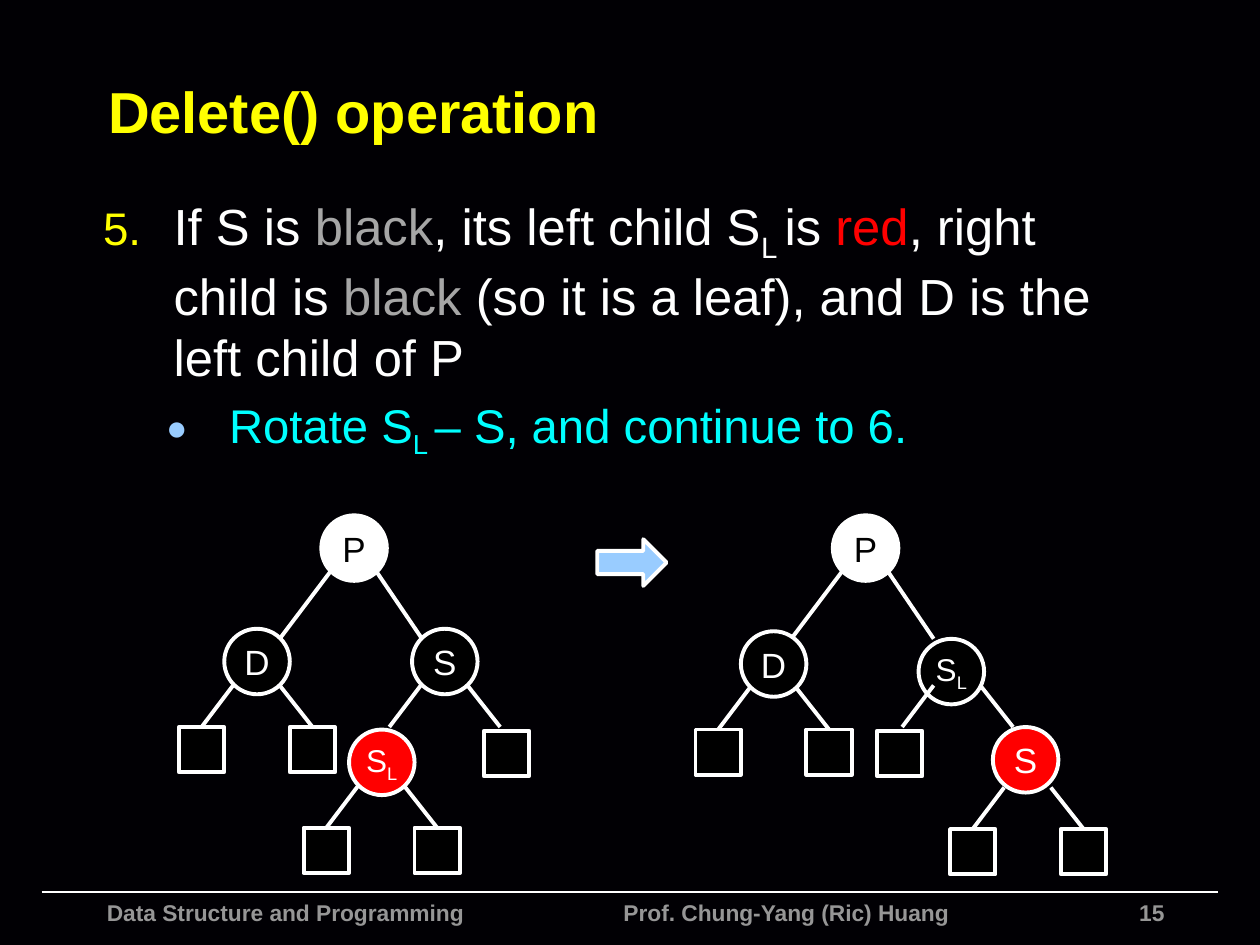
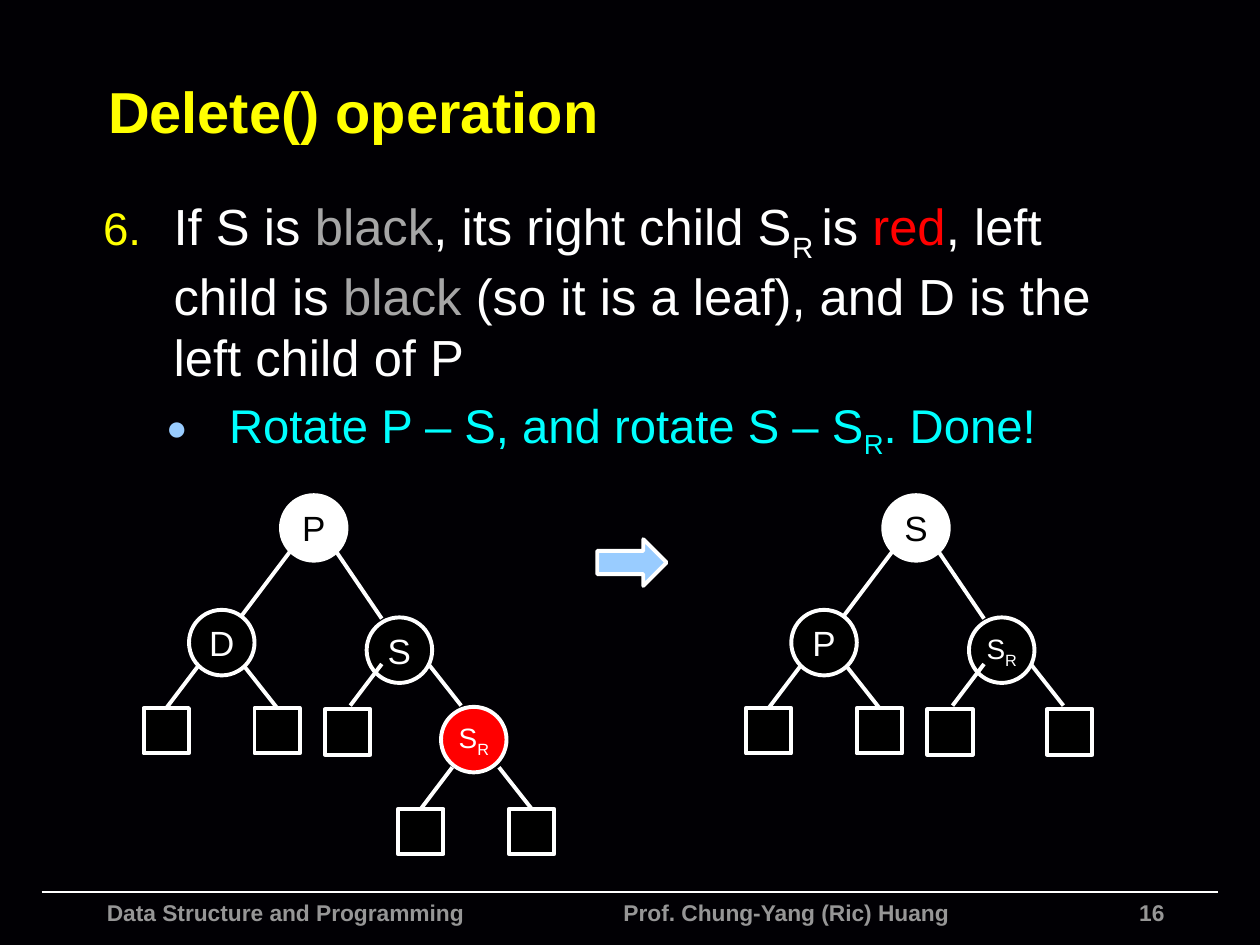
"""Builds two slides on the red-black tree delete cases."""
from lxml.etree import SubElement
from pptx import Presentation
from pptx.dml.color import RGBColor
from pptx.enum.shapes import MSO_CONNECTOR, MSO_SHAPE
from pptx.enum.text import MSO_ANCHOR, PP_ALIGN
from pptx.oxml.ns import qn
from pptx.util import Inches, Pt

THEME = {
    "font": "Arial",
    "tone": {"back": "010004", "text": "FFFFFF", "head": "FFFF00", "foot": "969696",
             "dim": "A6A6A6", "red": "FF0000", "sub": "00FFFF", "dot": "99CCFF",
             "black": "000000"},
    "size": {"head": 33, "main": 29, "sub": 27, "foot": 13, "node": 20},
    "line": {"thin": 1, "edge": 2.25},
}
TONE, SIZE, LINE = THEME["tone"], THEME["size"], THEME["line"]

HEAD = "Delete() operation"
FOOT = "Data Structure and Programming\tProf. Chung-Yang (Ric) Huang"
TAIL = [("black ", "dim"), ("(so it is a leaf), and D is the left child of P", "text")]

# %s
PAGES = [
    {"page": 15, "step": 5,
     "main": [("If S is ", "text"), ("black", "dim"), (", its left child S", "text"),
              ("L ", "text", True), ("is ", "text"), ("red", "red"),
              (", right child is ", "text")] + TAIL,
     "sub": [("Rotate S", "sub"), ("L ", "sub", True),
             ("– S, and continue to 6.", "sub")],
     "nodes": [
         {"name": "P", "look": "root", "at": (2.55, 4.09)},
         {"name": "D", "look": "black", "at": (1.78, 4.99), "leaf": "LR"},
         {"name": "S", "look": "black", "at": (3.27, 4.99), "leaf": "R", "wide": True},
         {"name": "S_L", "look": "red", "at": (2.77, 5.79), "leaf": "LR", "size": 18},
         {"name": "P", "look": "root", "at": (6.61, 4.09)},
         {"name": "D", "look": "black", "at": (5.88, 5.01), "leaf": "LR"},
         {"name": "S_L", "look": "black", "at": (7.29, 5.07), "leaf": "L", "wide": True,
          "size": 18, "shift": (0.05, -0.08)},
         {"name": "S", "look": "red", "at": (7.88, 5.77), "leaf": "LR",
          "shift": (0.02, 0.03)}]},
    {"page": 16, "step": 6,
     "main": [("If S is ", "text"), ("black", "dim"), (", its right child S", "text"),
              ("R ", "text", True), ("is ", "text"), ("red", "red"),
              (", left child is ", "text")] + TAIL,
     "sub": [("Rotate P – S, and rotate S – S", "sub"), ("R", "sub", True),
             (". Done!", "sub")],
     "nodes": [
         {"name": "P", "look": "root", "at": (2.23, 3.93)},
         {"name": "D", "look": "black", "at": (1.5, 4.84), "leaf": "LR"},
         {"name": "S", "look": "black", "at": (2.91, 4.9), "leaf": "L", "wide": True,
          "shift": (0.05, -0.08)},
         {"name": "S_R", "look": "red", "at": (3.5, 5.61), "leaf": "LR", "size": 16,
          "shift": (0.02, 0.03)},
         {"name": "S", "look": "root", "at": (7.01, 3.93)},
         {"name": "P", "look": "black", "at": (6.28, 4.84), "leaf": "LR"},
         {"name": "S_R", "look": "black", "at": (7.69, 4.9), "leaf": "LR", "wide": True,
          "size": 16, "shift": (0.05, -0.08)}]},
]

LOOKS = {"root": ("text", "black"), "black": ("black", "text"), "red": ("red", "text")}
BALL, BOX = 0.52, 0.36
START = {"L": (0.07, 0.45), "R": (0.44, 0.45)}
REACH = {"root": {"L": (-0.33, 0.98), "R": (0.8, 0.98)},
         "near": {"L": (-0.18, 0.78), "R": (0.7, 0.78)}}
NUDGE = {"L": (-0.02, 0.03), "R": (0.05, 0.03)}


def put(obj, **vals):
    """Set each named value on an object."""
    for key, val in vals.items():
        setattr(obj, key, val)


def shade(tone):
    """Return the theme colour of a tone."""
    return RGBColor.from_string(TONE[tone])


def add(*spots):
    """Sum points."""
    return tuple(sum(part) for part in zip(*spots))


def write(para, parts, size, bold=False):
    """Write runs of text, tone and an optional subscript flag."""
    for text, tone, *low in parts:
        run = para.add_run()
        run.text = text
        put(run.font, name=THEME["font"], size=Pt(size), bold=bold)
        run.font.color.rgb = shade(tone)
        if low:
            run._r.get_or_add_rPr().set("baseline", "-25000")


def frame(shape, pad, anchor):
    """Set up the text frame of a shape and return it."""
    text = shape.text_frame
    put(text, word_wrap=True, vertical_anchor=anchor,
        margin_left=Inches(pad), margin_right=Inches(pad),
        margin_top=Inches(0.05), margin_bottom=Inches(0.05))
    return text


def label(slide, place, anchor=MSO_ANCHOR.TOP):
    """Add a text box and return its frame."""
    box = slide.shapes.add_textbox(*map(Inches, place))
    return frame(box, 0.1, anchor)


def line(slide, start, end, width):
    """Draw a white line."""
    wire = slide.shapes.add_connector(MSO_CONNECTOR.STRAIGHT, *map(Inches, start + end))
    wire.line.color.rgb = shade("text")
    wire.line.width = Pt(width)
    SubElement(wire._element.spPr, qn("a:effectLst"))


def form(slide, kind, place, tone):
    """Draw a filled shape with a white edge."""
    shape = slide.shapes.add_shape(kind, *map(Inches, place))
    shape.shadow.inherit = False
    shape.fill.solid()
    shape.fill.fore_color.rgb = shade(tone)
    shape.line.color.rgb = shade("text")
    shape.line.width = Pt(LINE["edge"])
    return shape


def mark(para, left, hang, gap, tone, scale, kind, **vals):
    """Give a paragraph its indent, gap and bullet."""
    para.space_before = Pt(gap)
    prop = para._p.get_or_add_pPr()
    prop.set("marL", str(Inches(left)))
    prop.set("indent", str(-Inches(hang)))
    SubElement(SubElement(prop, qn("a:buClr")), qn("a:srgbClr"), val=TONE[tone])
    SubElement(prop, qn("a:buSzPct"), val=str(scale * 1000))
    SubElement(prop, qn("a:buFont"), typeface=THEME["font"])
    SubElement(prop, qn(kind), **vals)


def base(slide, page):
    """Add the title, footer line and footer text."""
    title = label(slide, (0.76, 0.37, 8.84, 1.01), MSO_ANCHOR.MIDDLE)
    write(title.paragraphs[0], [(HEAD, "head")], SIZE["head"], True)
    line(slide, (0.33, 7.08), (9.67, 7.08), LINE["thin"])
    foot = label(slide, (0.75, 7.08, 7.24, 0.42)).paragraphs[0]
    write(foot, [(FOOT, "foot")], SIZE["foot"], True)
    tabs = SubElement(foot._p.get_or_add_pPr(), qn("a:tabLst"))
    SubElement(tabs, qn("a:tab"), pos=str(Inches(4.1)), algn="l")
    count = label(slide, (6.17, 7.08, 3.17, 0.18)).paragraphs[0]
    count.alignment = PP_ALIGN.RIGHT
    write(count, [(str(page), "foot")], SIZE["foot"], True)


def body(slide, data):
    """Add the numbered case and its bullet."""
    text = label(slide, (0.72, 1.5, 8.5, 5.17))
    main, sub = text.paragraphs[0], text.add_paragraph()
    mark(main, 0.56, 0.56, 6, "head", 90, "a:buAutoNum",
         type="arabicPeriod", startAt=str(data["step"]))
    write(main, data["main"], SIZE["main"])
    sub.level = 1
    mark(sub, 1, 0.5, 5.5, "dot", 75, "a:buChar", char="●")
    write(sub, data["sub"], SIZE["sub"])


def draw(slide, name, look, at, leaf="", wide=False, size=SIZE["node"], shift=(0, 0)):
    """Draw a tree node with its two branches and its leaves."""
    fill, ink = LOOKS[look]
    ball = form(slide, MSO_SHAPE.OVAL, at + (BALL, BALL), fill)
    para = frame(ball, 0.05, MSO_ANCHOR.MIDDLE).paragraphs[0]
    para.alignment = PP_ALIGN.CENTER
    stem, _, low = name.partition("_")
    write(para, [(stem, ink)] + ([(low, ink, True)] if low else []), size)
    reach = REACH.get(look, REACH["near"])
    for side in "LR":
        end = add(at, shift, reach[side])
        if side in leaf:
            spot = add(end, (-BOX / 2, 0), NUDGE[side] if wide else (0, 0))
            form(slide, MSO_SHAPE.RECTANGLE, spot + (BOX, BOX), "black")
        line(slide, add(at, shift, START[side]), end, LINE["edge"])


def build():
    """Build and save the deck."""
    deck = Presentation()
    put(deck, slide_width=Inches(10), slide_height=Inches(7.5))
    for data in PAGES:
        slide = deck.slides.add_slide(deck.slide_layouts[6])
        slide.background.fill.solid()
        slide.background.fill.fore_color.rgb = shade("back")
        base(slide, data["page"])
        body(slide, data)
        for node in data["nodes"]:
            draw(slide, **node)
        form(slide, MSO_SHAPE.RIGHT_ARROW, (4.74, 4.28, 0.55, 0.37), "dot")
    deck.save("out.pptx")


build()
